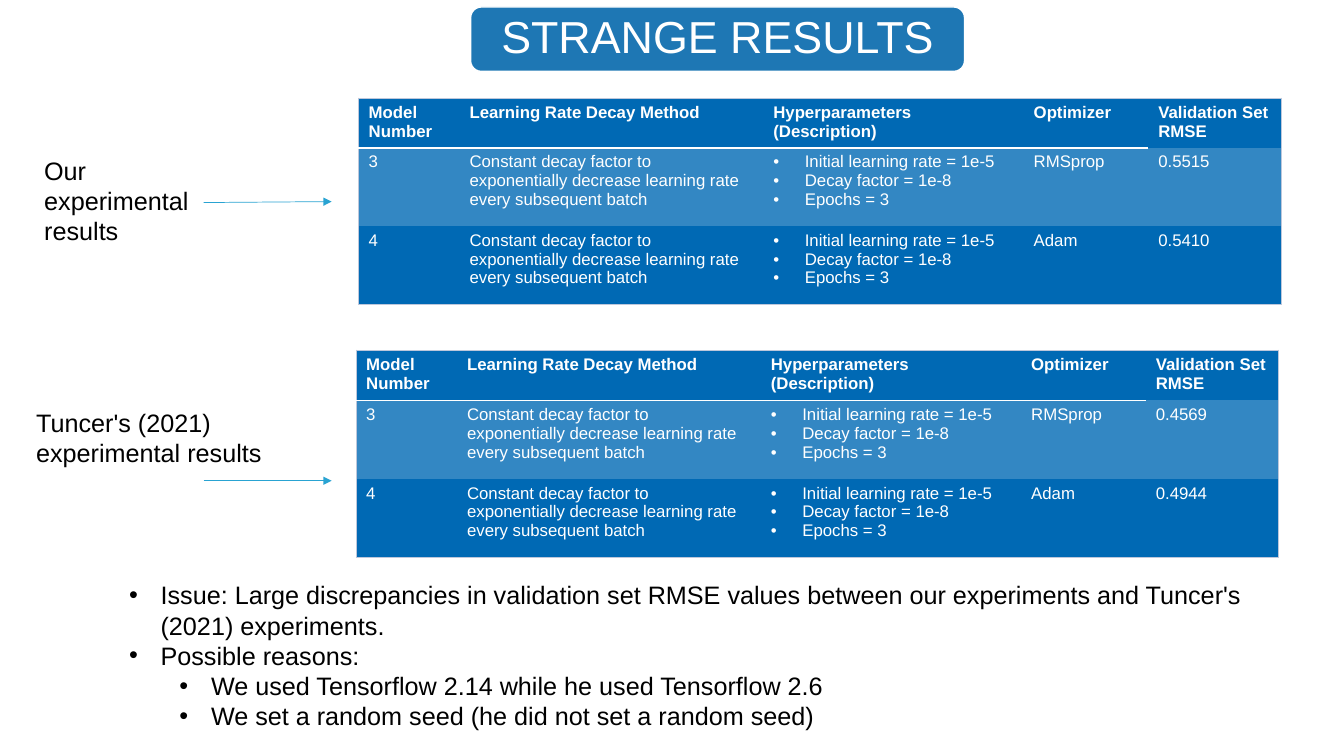
from lxml.etree import SubElement
from pptx import Presentation
from pptx.dml.color import RGBColor
from pptx.enum.shapes import MSO_CONNECTOR, MSO_SHAPE
from pptx.enum.text import MSO_ANCHOR, MSO_AUTO_SIZE, PP_ALIGN
from pptx.oxml.ns import qn
from pptx.util import Pt

COLORS = {
    "title": "0669AC",
    "dark": "0069B4",
    "light": "3387C3",
    "edge": "BDC7DB",
    "arrow": "29A3D2",
    "white": "FFFFFF",
    "black": "000000",
}
FONT = "Arial"
TITLE = "STRANGE RESULTS"
HEADERS = [
    "Model Number",
    "Learning Rate Decay Method",
    "Hyperparameters (Description)",
    "Optimizer",
    "Validation Set RMSE",
]
METHOD = "Constant decay factor to exponentially decrease learning rate every subsequent batch"
HYPERPARAMETERS = ["Initial learning rate = 1e-5", "Decay factor = 1e-8", "Epochs = 3"]
MODELS = [("3", "RMSprop"), ("4", "Adam")]
EXPERIMENTS = [
    {
        "label": "Our experimental results",
        "label_box": (24.5, 107.3, 126.7, 72.7),
        "arrow": (145.4, 144.7, 236.9, 144),
        "table_at": (256.2, 70),
        "errors": ["0.5515", "0.5410"],
    },
    {
        "label": "Tuncer's (2021) experimental results",
        "label_box": (18.7, 287.3, 179.3, 72.7),
        "arrow": (145.4, 343.4, 236.9, 343.4),
        "table_at": (254.4, 250),
        "errors": ["0.4569", "0.4944"],
    },
]
FINDINGS = [
    (0, "Issue: Large discrepancies in validation set RMSE values between our experiments and Tuncer's (2021) experiments."),
    (0, "Possible reasons:"),
    (1, "We used Tensorflow 2.14 while he used Tensorflow 2.6"),
    (1, "We set a random seed (he did not set a random seed)"),
]
COLUMN_WIDTHS = [72, 217, 186, 89, 95]
ROW_HEIGHTS = [35.5, 56, 56]
BULLET_INDENT = 22.5
LEVEL_INDENT = 36


def color(name):
    return RGBColor.from_string(COLORS[name])


def write(para, text, size, ink, bold=False):
    span = para.add_run()
    span.text = text
    span.font.name = FONT
    span.font.size = Pt(size)
    span.font.bold = bold
    span.font.color.rgb = color(ink)


def add_bullet(para, level=0):
    properties = para._p.get_or_add_pPr()
    properties.set("marL", str(Pt(BULLET_INDENT + LEVEL_INDENT * level)))
    properties.set("indent", str(-Pt(BULLET_INDENT)))
    SubElement(properties, qn("a:buFont"), typeface=FONT)
    SubElement(properties, qn("a:buChar"), char="•")


def write_paragraphs(frame, items, size, ink, bulleted, bold=False):
    for index, (level, text) in enumerate(items):
        para = frame.paragraphs[0] if index == 0 else frame.add_paragraph()
        if bulleted:
            add_bullet(para, level)
        para.level = level
        para.space_before = Pt(0)
        write(para, text, size, ink, bold)


def place(box, left, top, width, height):
    box.left, box.top, box.width, box.height = map(Pt, (left, top, width, height))


def set_borders(cell, borders):
    properties = cell._tc.get_or_add_tcPr()
    for side in "LRTB":
        name, width = borders.get(side, (None, 0))
        line = SubElement(properties, qn("a:ln" + side), w=str(Pt(width)))
        if name:
            fill = SubElement(line, qn("a:solidFill"))
            SubElement(fill, qn("a:srgbClr"), val=COLORS[name])
        else:
            SubElement(line, qn("a:noFill"))


def cell_borders(row, column):
    last_row, last_column = len(ROW_HEIGHTS) - 1, len(COLUMN_WIDTHS) - 1
    edge, rule = ("edge", 0.5), ("white", 1.5)
    borders = {}
    if column == 0:
        borders["L"] = edge
    if column == last_column:
        borders["R"] = edge
    if row == 0:
        borders["T"] = edge
    if row == last_row:
        borders["B"] = edge
    if column < last_column and row < 2:
        borders["B" if row == 0 else "T"] = rule
    return borders


def add_results(page, left, top, errors):
    rows = [HEADERS] + [
        [number, METHOD, HYPERPARAMETERS, optimizer, error]
        for (number, optimizer), error in zip(MODELS, errors)
    ]
    table = page.shapes.add_table(
        len(rows), len(HEADERS), Pt(left), Pt(top),
        Pt(sum(COLUMN_WIDTHS)), Pt(sum(ROW_HEIGHTS)),
    ).table
    table.horz_banding = False
    for column, width in zip(table.columns, COLUMN_WIDTHS):
        column.width = Pt(width)
    for row_index, row in enumerate(rows):
        table.rows[row_index].height = Pt(ROW_HEIGHTS[row_index])
        for column_index, value in enumerate(row):
            cell = table.cell(row_index, column_index)
            bulleted = isinstance(value, list)
            items = [(0, text) for text in (value if bulleted else [value])]
            write_paragraphs(cell.text_frame, items, 12, "white", bulleted, row_index == 0)
            set_borders(cell, cell_borders(row_index, column_index))
            cell.fill.solid()
            cell.fill.fore_color.rgb = color("light" if row_index == 1 else "dark")


def add_arrow(page, start_x, start_y, end_x, end_y):
    arrow = page.shapes.add_connector(
        MSO_CONNECTOR.STRAIGHT, Pt(start_x), Pt(start_y), Pt(end_x), Pt(end_y)
    )
    arrow.line.color.rgb = color("arrow")
    arrow.line.width = Pt(0.5)
    SubElement(arrow.line._get_or_add_ln(), qn("a:tailEnd"), type="triangle")
    SubElement(arrow._element.spPr, qn("a:effectLst"))


def add_title(page):
    title = page.shapes.title
    place(title, 338.4, 7.2, 348.5, 41.8)
    frame = title.text_frame
    frame.auto_size = MSO_AUTO_SIZE.NONE
    frame.vertical_anchor = MSO_ANCHOR.MIDDLE
    para = frame.paragraphs[0]
    para.alignment = PP_ALIGN.CENTER
    para.line_spacing = 0.9
    write(para, TITLE, 32, "white")
    banner = page.shapes.add_shape(
        MSO_SHAPE.ROUNDED_RECTANGLE, Pt(336.2), Pt(5), Pt(352.8), Pt(46)
    )
    banner.shadow.inherit = False
    banner.fill.solid()
    banner.fill.fore_color.rgb = color("title")
    SubElement(banner._element.spPr.find(".//" + qn("a:srgbClr")), qn("a:alpha"), val="90000")
    banner.line.color.rgb = color("white")
    banner.line.width = Pt(1)
    title._element.addprevious(banner._element)


def main():
    deck = Presentation()
    deck.slide_width, deck.slide_height = Pt(960), Pt(540)
    page = deck.slides.add_slide(deck.slide_layouts[1])
    add_title(page)
    for experiment in EXPERIMENTS:
        add_results(page, *experiment["table_at"], experiment["errors"])
        label = page.shapes.add_textbox(*map(Pt, experiment["label_box"]))
        label.text_frame.word_wrap = True
        write_paragraphs(label.text_frame, [(0, experiment["label"])], 18, "black", False)
        add_arrow(page, *experiment["arrow"])
    body = page.placeholders[1]
    place(body, 85, 410.4, 849.6, 129.6)
    body.text_frame.auto_size = MSO_AUTO_SIZE.NONE
    write_paragraphs(body.text_frame, FINDINGS, 18, "black", True)
    deck.save("out.pptx")


if __name__ == "__main__":
    main()
